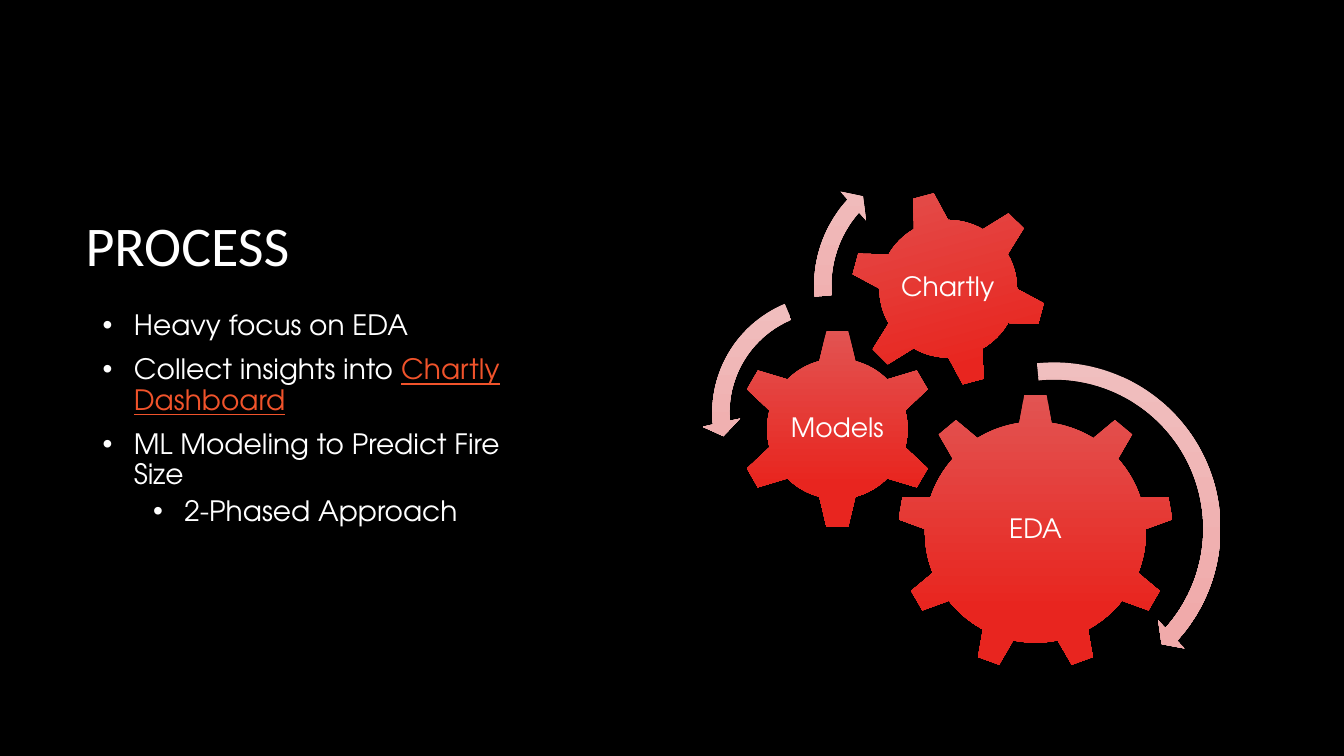
from lxml import etree
from pptx import Presentation
from pptx.dml.color import RGBColor
from pptx.enum.shapes import MSO_SHAPE as Shape
from pptx.enum.text import MSO_ANCHOR as Anchor, PP_ALIGN as Align
from pptx.oxml.ns import qn
from pptx.util import Inches, Pt

SANS = "TeX Gyre Adventor"
WHITE, LINK = "FFFFFF", "F0532B"
RED, PINK = ("E25452", "E8251F"), ("F0BFBF", "F0AAAA")
BAND, HEAD = 0.17, 0.19  # arrow thickness and head width, inches

# level, space before, runs of (text, colour, underlined)
POINTS = [
    (0, 0, [("Heavy focus on EDA", WHITE, False)]),
    (0, 10, [("Collect insights into ", WHITE, False),
             ("Chartly Dashboard", LINK, True)]),
    (0, 10, [("ML Modeling to Predict Fire Size", WHITE, False)]),
    (1, 5, [("2-Phased Approach", WHITE, False)]),
]
# label, preset, left, top, size, turn, label box
GEARS = [
    ("EDA", Shape.GEAR_9, 8.9, 3.91, 2.74, 0, (9.45, 4.55, 1.64, 1.41)),
    ("Models", Shape.GEAR_6, 7.31, 3.26, 1.99, 0, (7.81, 3.76, 0.99, 0.98)),
    ("Chartly", Shape.GEAR_6, 8.43, 1.89, 1.95, 345, (8.85, 2.31, 1.1, 1.1)),
]
# preset, left, top, size, three angle adjustments
ARROWS = [
    (Shape.CIRCULAR_ARROW, 8.7, 3.49, 3.51, (2.99, 25.24, 158.44)),
    (Shape.LEFT_CIRCULAR_ARROW, 6.96, 2.82, 2.55, (4.3, 104.89, 148.38)),
    (Shape.CIRCULAR_ARROW, 7.97, 1.46, 2.75, (3.94, 133.14, 105.08)),
]


def rgb(code):
    return RGBColor.from_string(code)


def add_box(slide, at, anchor=Anchor.TOP):
    box = slide.shapes.add_textbox(*map(Inches, at))
    frame = box.text_frame
    frame.word_wrap = True
    frame.vertical_anchor = anchor
    return frame


def style(para, size, face=SANS):
    para.line_spacing = 0.9
    para.font.size = Pt(size)
    para.font.name = face
    para.font.color.rgb = rgb(WHITE)


def add_title(slide, text):
    frame = add_box(slide, (0.75, 1.67, 4.5, 1.75), Anchor.BOTTOM)
    frame.margin_bottom = Inches(0.66)
    para = frame.paragraphs[0]
    para.text = text
    style(para, 40, "Calibri")


def add_bullet(para, level):
    para.level = level
    props = para._p.get_or_add_pPr()
    props.set("marL", str(Inches(0.31 + 0.5 * level)))
    props.set("indent", str(Inches(-0.31)))
    etree.SubElement(props, qn("a:buFont"), typeface="Arial")
    etree.SubElement(props, qn("a:buChar"), char="•")


def add_points(slide):
    frame = add_box(slide, (0.92, 3.04, 4.3, 3.13))
    for i, (level, gap, runs) in enumerate(POINTS):
        para = frame.add_paragraph() if i else frame.paragraphs[0]
        add_bullet(para, level)
        para.space_before = Pt(gap)
        style(para, 20)
        for text, color, under in runs:
            run = para.add_run()
            run.text = text
            run.font.color.rgb = rgb(color)
            run.font.underline = under


def add_part(slide, kind, left, top, size, colors):
    part = slide.shapes.add_shape(kind, *map(Inches, (left, top, size, size)))
    part.shadow.inherit = False
    part.line.fill.background()
    part.fill.gradient()
    part.fill.gradient_angle = 270
    for stop, spot, color in zip(part.fill.gradient_stops, (0, 0.78), colors):
        stop.position = spot
        stop.color.rgb = rgb(color)
    return part


def add_gear(slide, text, kind, left, top, size, turn, at):
    add_part(slide, kind, left, top, size, RED).rotation = turn
    frame = add_box(slide, at, Anchor.MIDDLE)
    frame.margin_left = frame.margin_right = Inches(0.03)
    frame.margin_top = frame.margin_bottom = Inches(0.03)
    para = frame.paragraphs[0]
    para.text = text
    para.alignment = Align.CENTER
    style(para, 19)


def add_arrow(slide, kind, left, top, size, angles):
    arrow = add_part(slide, kind, left, top, size, PINK)
    for i, value in enumerate((BAND / size, *angles, HEAD / size)):
        arrow.adjustments[i] = value


def main():
    deck = Presentation()
    deck.slide_width, deck.slide_height = Inches(13.33), Inches(7.5)
    slide = deck.slides.add_slide(deck.slide_layouts[6])
    slide.background.fill.solid()
    slide.background.fill.fore_color.rgb = rgb("000000")

    # Text on the left
    add_title(slide, "PROCESS")
    add_points(slide)

    # Gears and their turning arrows
    for gear in GEARS:
        add_gear(slide, *gear)
    for arrow in ARROWS:
        add_arrow(slide, *arrow)

    deck.save("out.pptx")


if __name__ == "__main__":
    main()
